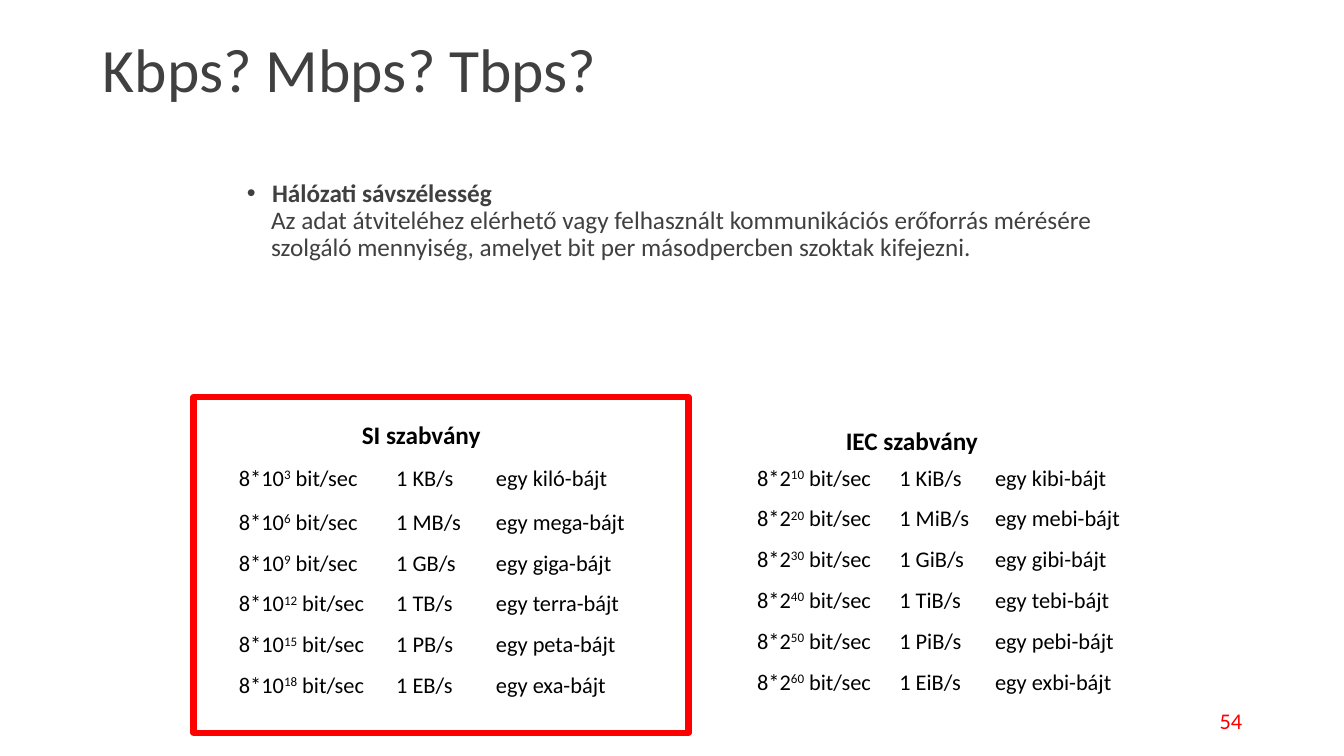
import pptx
import pptx.util
import pptx.dml.color
import pptx.enum.shapes
import pptx.enum.text
from dataclasses import dataclass
from lxml import etree

Inches = pptx.util.Inches
Pt = pptx.util.Pt
ALIGN = pptx.enum.text.PP_ALIGN
ANCHOR = pptx.enum.text.MSO_ANCHOR

TITLE = "Kbps? Mbps? Tbps?"
TERM = "Hálózati sávszélesség"
DEFINITION = ("Az adat átviteléhez elérhető vagy felhasznált kommunikációs erőforrás "
              "mérésére szolgáló mennyiség, amelyet bit per másodpercben szoktak kifejezni.")
PAGE = "54"
STANDARDS = [
    {
        "heading": "SI szabvány", "heading_at": (3.49, 4.11, 1.39, 0.4),
        "base": "8*10", "exponent_step": 3,
        "units": [("KB/s", "kiló"), ("MB/s", "mega"), ("GB/s", "giga"),
                  ("TB/s", "terra"), ("PB/s", "peta"), ("EB/s", "exa")],
        "corner": (2.3, 4.56), "columns": (1.56, 0.99, 1.65), "first_row": 0.44,
    },
    {
        "heading": "IEC szabvány", "heading_at": (8.29, 4.17, 1.52, 0.4),
        "base": "8*2", "exponent_step": 10,
        "units": [("KiB/s", "kibi"), ("MiB/s", "mebi"), ("GiB/s", "gibi"),
                  ("TiB/s", "tebi"), ("PiB/s", "pebi"), ("EiB/s", "exbi")],
        "corner": (7.44, 4.56), "columns": (1.41, 0.95, 1.6), "first_row": 0.405,
    },
]
ROW_HEIGHT = 0.405


@dataclass(frozen=True)
class Theme:
    font: str = "Calibri"
    gray: str = "404040"
    black: str = "000000"
    red: str = "FF0000"
    title: int = 44
    body: int = 18
    small: int = 16


THEME = Theme()


def rgb(color):
    return pptx.dml.color.RGBColor.from_string(color)


def write(paragraph, text, size=THEME.small, color=THEME.black, bold=False, raised=False):
    """Append one formatted run to the paragraph."""
    run = paragraph.add_run()
    run.text = text
    run.font.name = THEME.font
    run.font.size = Pt(size)
    run.font.bold = bold
    run.font.color.rgb = rgb(color)
    if raised:
        run.font._element.set("baseline", "30000")


def add_box(slide, place, wrap=True, anchor=ANCHOR.TOP):
    frame = slide.shapes.add_textbox(*map(Inches, place)).text_frame
    frame.word_wrap = wrap
    frame.vertical_anchor = anchor
    return frame


def indent(paragraph, left, hanging=0, bullet=None):
    properties = paragraph._p.get_or_add_pPr()
    properties.set("marL", str(Inches(left)))
    properties.set("indent", str(-Inches(hanging)))
    if bullet:
        namespace = properties.nsmap["a"]
        font = etree.SubElement(properties, f"{{{namespace}}}buFont")
        font.set("typeface", "Arial")
        mark = etree.SubElement(properties, f"{{{namespace}}}buChar")
        mark.set("char", bullet)
    paragraph.line_spacing = 0.9


def add_title(slide):
    title = slide.shapes.title
    title.left, title.top, title.width, title.height = map(Inches, (0.92, -0.01, 11.5, 1.45))
    title.text_frame.vertical_anchor = ANCHOR.MIDDLE
    heading = title.text_frame.paragraphs[0]
    heading.alignment = ALIGN.LEFT
    heading.line_spacing = 0.9
    write(heading, TITLE, size=THEME.title, color=THEME.gray)


def add_definition(slide):
    frame = add_box(slide, (2.35, 1.74, 8.62, 2.37))
    term = frame.paragraphs[0]
    indent(term, 0.25, hanging=0.25, bullet="•")
    write(term, TERM, size=THEME.body, color=THEME.gray, bold=True)
    definition = frame.add_paragraph()
    indent(definition, 0.24)
    write(definition, DEFINITION, size=THEME.body, color=THEME.gray)


def add_standard(slide, standard):
    """Draw the unit table of one standard and its heading."""
    units, columns = standard["units"], standard["columns"]
    heights = [standard["first_row"]] + [ROW_HEIGHT] * (len(units) - 1)
    size = (sum(columns), sum(heights))
    table = slide.shapes.add_table(len(units), len(columns),
                                   *map(Inches, standard["corner"] + size)).table
    table.first_row = table.horz_banding = False
    for column, width in zip(table.columns, columns):
        column.width = Inches(width)
    for row, height in zip(table.rows, heights):
        row.height = Inches(height)
    for cell in table.iter_cells():
        cell.fill.background()
        cell.margin_left = cell.margin_right = Inches(0.07)
        cell.margin_top = cell.margin_bottom = Inches(0.05)

    for number, (unit, prefix) in enumerate(units):
        rate, short, name = (cell.text_frame.paragraphs[0] for cell in table.rows[number].cells)
        write(rate, standard["base"])
        write(rate, str(standard["exponent_step"] * (number + 1)), raised=True)
        write(rate, " bit/sec")
        write(short, f"1 {unit}")
        write(name, f"egy {prefix}-bájt")

    heading = add_box(slide, standard["heading_at"], wrap=False)
    write(heading.paragraphs[0], standard["heading"], size=THEME.body, bold=True)


def add_page_number(slide):
    number = add_box(slide, (9.42, 6.95, 3, 0.4), anchor=ANCHOR.MIDDLE).paragraphs[0]
    number.alignment = ALIGN.RIGHT
    write(number, PAGE, color=THEME.red)


def add_highlight(slide):
    highlight = slide.shapes.add_shape(pptx.enum.shapes.MSO_SHAPE.RECTANGLE,
                                       *map(Inches, (1.92, 3.94, 4.91, 3.33)))
    highlight.shadow.inherit = False
    highlight.fill.background()
    highlight.line.color.rgb = rgb(THEME.red)
    highlight.line.width = Pt(4.5)


def main():
    deck = pptx.Presentation()
    deck.slide_width, deck.slide_height = Inches(13.33), Inches(7.5)
    slide = deck.slides.add_slide(deck.slide_layouts.get_by_name("Title Only"))
    add_title(slide)
    add_definition(slide)
    for standard in STANDARDS:
        add_standard(slide, standard)
    add_page_number(slide)
    add_highlight(slide)
    deck.save("out.pptx")


if __name__ == "__main__":
    main()
